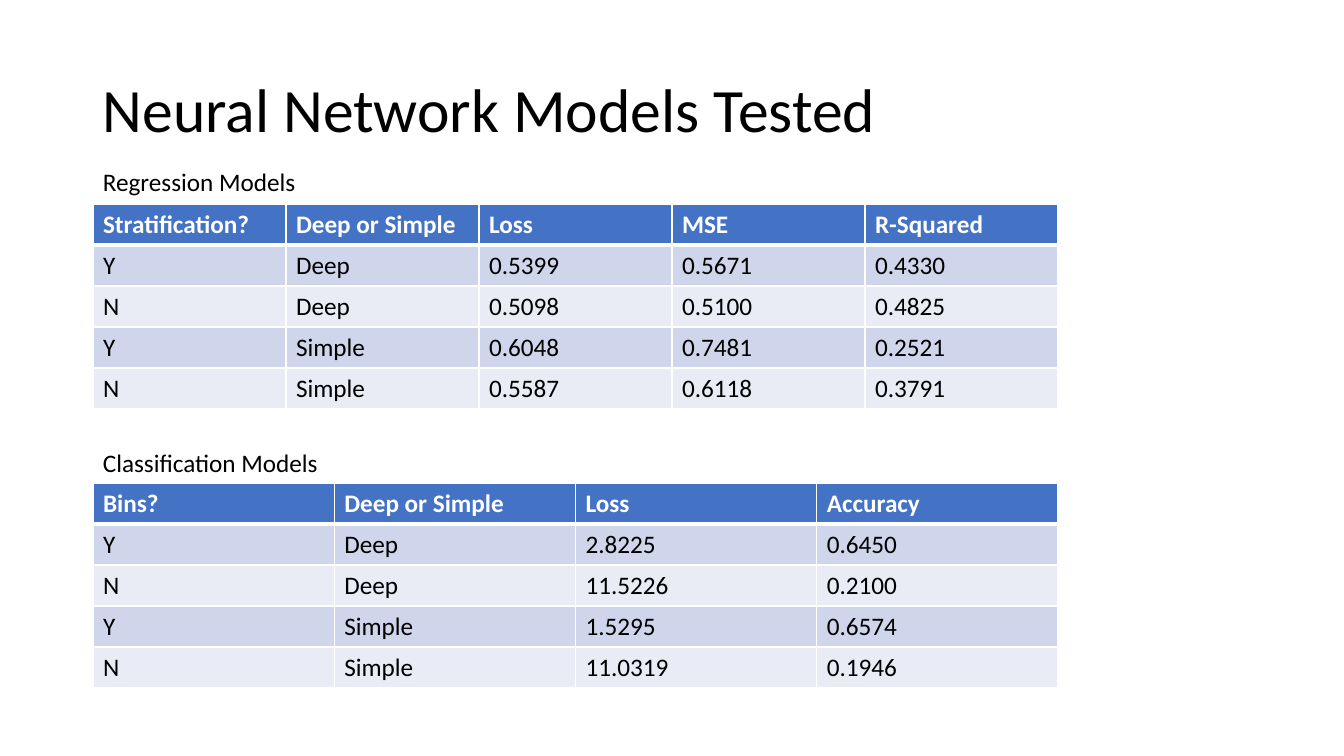
from lxml import etree
from pptx import Presentation
from pptx import util as u
from pptx.dml.color import RGBColor
from pptx.enum import text
from pptx.oxml import ns

SCALE = 914400 / 100.8
BLACK = RGBColor(0x00, 0x00, 0x00)
WHITE = RGBColor(0xFF, 0xFF, 0xFF)
HEADER_BLUE = RGBColor(0x44, 0x72, 0xC4)
BANDS = [RGBColor(0xCF, 0xD5, 0xEA), RGBColor(0xE9, 0xEB, 0xF5)]

LEFT = 93
TABLE_WIDTH = 965
ROW_HEIGHT = 41


def px(*lengths):
    return [u.Emu(round(length * SCALE)) for length in lengths]


def write(paragraph, words, size, color, bold=False):
    run = paragraph.add_run()
    run.text = words
    font_format = {"name": "Calibri", "size": u.Pt(size), "bold": bold}
    for name, value in font_format.items():
        setattr(run.font, name, value)
    run.font.color.rgb = color


presentation = Presentation()
presentation.slide_width, presentation.slide_height = px(1344, 756)
slide = presentation.slides.add_slide(presentation.slide_layouts[6])

# Title and table captions: words, top, width, height, size, line spacing
headings = [
    ("Neural Network Models Tested", 40, 1159, 146, 44, 0.9),
    ("Regression Models", 161, 599, ROW_HEIGHT, 18, 1.0),
    ("Classification Models", 442, 599, ROW_HEIGHT, 18, 1.0),
]
for words, top, width, height, size, spacing in headings:
    frame = slide.shapes.add_textbox(*px(LEFT, top, width, height)).text_frame
    frame.word_wrap = True
    frame.vertical_anchor = text.MSO_ANCHOR.MIDDLE
    frame.paragraphs[0].line_spacing = spacing
    write(frame.paragraphs[0], words, size, BLACK)

# Model results
regression = [
    ("Stratification?", "Deep or Simple", "Loss", "MSE", "R-Squared"),
    ("Y", "Deep", "0.5399", "0.5671", "0.4330"),
    ("N", "Deep", "0.5098", "0.5100", "0.4825"),
    ("Y", "Simple", "0.6048", "0.7481", "0.2521"),
    ("N", "Simple", "0.5587", "0.6118", "0.3791"),
]
classification = [
    ("Bins?", "Deep or Simple", "Loss", "Accuracy"),
    ("Y", "Deep", "2.8225", "0.6450"),
    ("N", "Deep", "11.5226", "0.2100"),
    ("Y", "Simple", "1.5295", "0.6574"),
    ("N", "Simple", "11.0319", "0.1946"),
]

# Tables with a blue header, banded rows and white borders
for top, rows in [(204, regression), (483, classification)]:
    columns = len(rows[0])
    table = slide.shapes.add_table(
        len(rows), columns, *px(LEFT, top, TABLE_WIDTH, ROW_HEIGHT * len(rows))
    ).table
    for row_index, row in enumerate(rows):
        header = row_index == 0
        for column_index, words in enumerate(row):
            cell = table.cell(row_index, column_index)
            properties = cell._tc.get_or_add_tcPr()
            for side in "LRTB":
                heavy = (header and side == "B") or (row_index == 1 and side == "T")
                line = etree.SubElement(properties, ns.qn(f"a:ln{side}"))
                line.set("w", str(u.Pt(3 if heavy else 1)))
                fill = etree.SubElement(line, ns.qn("a:solidFill"))
                etree.SubElement(fill, ns.qn("a:srgbClr")).set("val", str(WHITE))
            cell.fill.solid()
            cell.fill.fore_color.rgb = HEADER_BLUE if header else BANDS[(row_index - 1) % 2]
            write(cell.text_frame.paragraphs[0], words, 18, WHITE if header else BLACK, header)

presentation.save("out.pptx")
